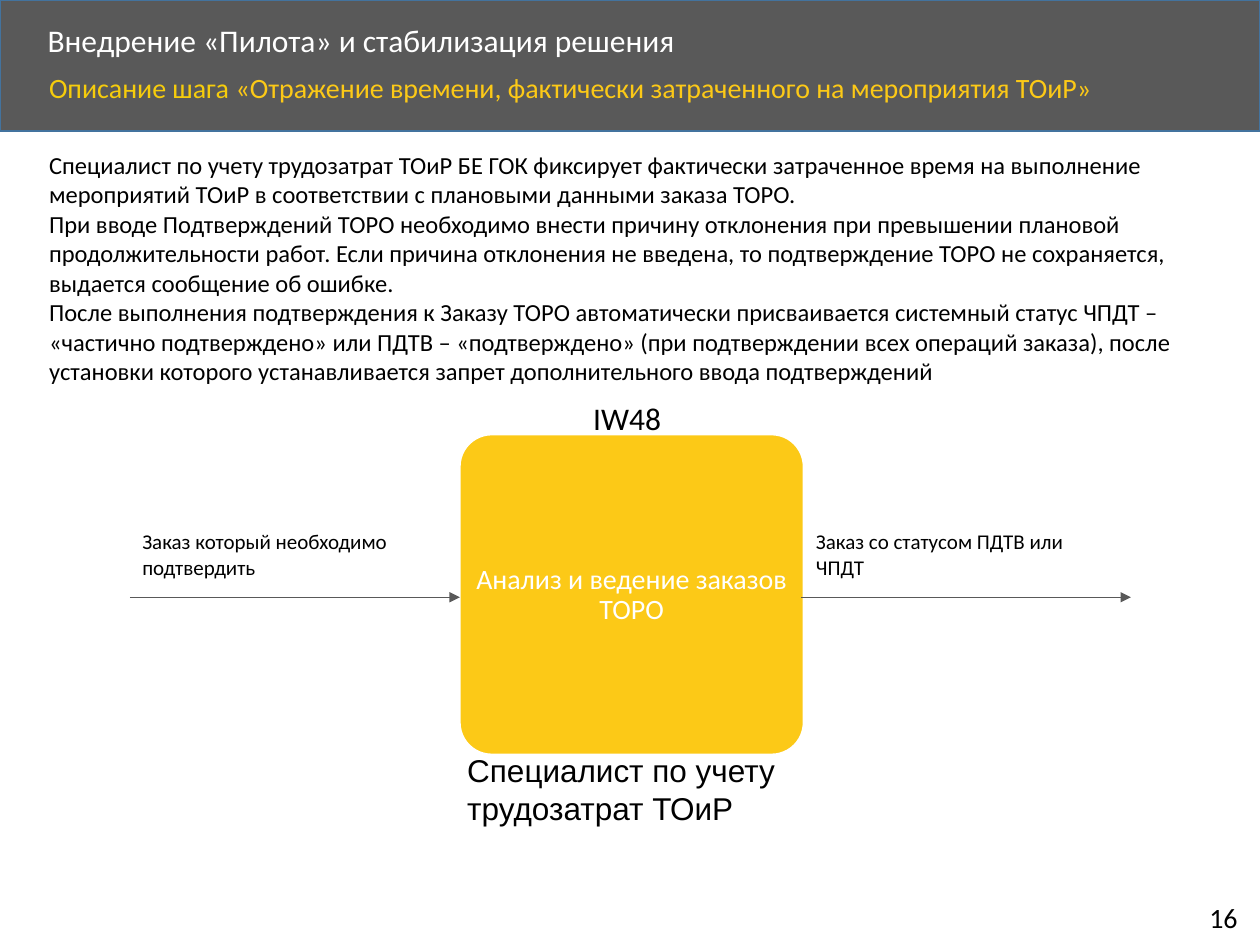
from lxml import etree
from pptx import Presentation
from pptx.dml.color import RGBColor
from pptx.enum.shapes import MSO_CONNECTOR, MSO_SHAPE
from pptx.enum.text import MSO_ANCHOR, PP_ALIGN
from pptx.oxml.ns import qn
from pptx.util import Cm, Pt

RECT, ROUND = MSO_SHAPE.RECTANGLE, MSO_SHAPE.ROUNDED_RECTANGLE
LINE = MSO_CONNECTOR.STRAIGHT
TOP, MID = MSO_ANCHOR.TOP, MSO_ANCHOR.MIDDLE
LEFT, MIDDLE = PP_ALIGN.LEFT, PP_ALIGN.CENTER
HUE = {"gray": "595959", "edge": "43739E", "gold": "FCC917",
       "sand": "F6CC0C", "white": "FFFFFF", "black": "000000"}


def rgb(name):
    return RGBColor.from_string(HUE[name])


def put(area, paras, size, hue="black", font="Calibri", wrap=True, anchor=TOP,
        pad=None, **para):
    """Add a text box; each paragraph is a list of (text, colour or None) runs."""
    frame = slide.shapes.add_textbox(*map(Cm, area)).text_frame
    look = {"word_wrap": wrap, "vertical_anchor": anchor}
    if pad is not None:
        for side in ("left", "right", "top", "bottom"):
            look["margin_" + side] = Cm(pad)
    for key, value in look.items():
        setattr(frame, key, value)
    for i, runs in enumerate(paras):
        p = frame.add_paragraph() if i else frame.paragraphs[0]
        for key, value in {"alignment": LEFT, **para}.items():
            setattr(p, key, value)
        for text, tint in runs:
            run = p.add_run()
            run.text = text
            for key, value in {"size": Pt(size), "name": font}.items():
                setattr(run.font, key, value)
            run.font.color.rgb = rgb(tint or hue)


deck = Presentation()
deck.slide_width, deck.slide_height = Cm(25.4), Cm(19.05)
slide = deck.slides.add_slide(deck.slide_layouts[6])

# Header band and step block
for kind, area, fill, edge in [
    (RECT, (0, 0, 25.4, 2.64), "gray", "edge"),
    (ROUND, (9.27, 8.76, 6.93, 6.45), "gold", "white"),
]:
    block = slide.shapes.add_shape(kind, *map(Cm, area))
    block.shadow.inherit = False
    block.fill.solid()
    block.fill.fore_color.rgb = rgb(fill)
    block.line.color.rgb = rgb(edge)
    block.line.width = Pt(1)
    if kind == ROUND:
        block.adjustments[0] = 0.1

# Header and page number
put((0.71, 0.36, 20.5, 0.97), [[("Внедрение «Пилота» и стабилизация решения", None)]],
    18, "white", anchor=MID, line_spacing=0.9)
put((0.74, 1.37, 21.97, 1.14),
    [[("Описание шага ", "sand"),
      ("«Отражение времени, фактически затраченного на мероприятия ТОиР»", "gold")]],
    16, line_spacing=0.9)
put((24.13, 18.03, 1.17, 0.94), [[("16", None)]], 16, wrap=False)

# Description
body = [
    "Специалист по учету трудозатрат ТОиР БЕ ГОК фиксирует фактически затраченное время "
    "на выполнение мероприятий ТОиР в соответствии с плановыми данными заказа ТОРО.",
    "При вводе Подтверждений ТОРО необходимо внести причину отклонения при превышении "
    "плановой продолжительности работ. Если причина отклонения не введена, то "
    "подтверждение ТОРО не сохраняется, выдается сообщение об ошибке.",
    "После выполнения подтверждения к Заказу ТОРО автоматически присваивается системный "
    "статус ЧПДТ – «частично подтверждено» или ПДТВ – «подтверждено» (при подтверждении "
    "всех операций заказа), после установки которого устанавливается запрет "
    "дополнительного ввода подтверждений",
]
put((0.74, 2.9, 24.03, 5.05), [[(text, None)] for text in body], 14)

# Step name, code and role
put((9.42, 8.97, 6.63, 6.07), [[("Анализ и ведение заказов ТОРО", None)]], 16, "white",
    anchor=MID, pad=0.03, alignment=MIDDLE, line_spacing=0.9)
put((11.71, 7.92, 1.9, 1.02), [[("IW48", None)]], 18, wrap=False)
put((9.17, 15.01, 7.16, 1.8), [[("Специалист по учету трудозатрат ТОиР", None)]],
    18, font="Arial")

# Input and output flows
for left, start, text in [
    (2.62, 2.62, "Заказ который необходимо подтвердить"),
    (16.2, 16.15, "Заказ со статусом ПДТВ или ЧПДТ"),
]:
    put((left, 10.54, 6.53, 1.27), [[(text, None)]], 12)
    flow = slide.shapes.add_connector(
        LINE, Cm(start), Cm(12.04), Cm(start + 6.65), Cm(12.04))
    flow.line.color.rgb = rgb("gray")
    flow.line.width = Pt(0.5)
    etree.SubElement(flow.line._get_or_add_ln(), qn("a:tailEnd"), type="triangle")
    etree.SubElement(flow._element.spPr, qn("a:effectLst"))

deck.save("out.pptx")
